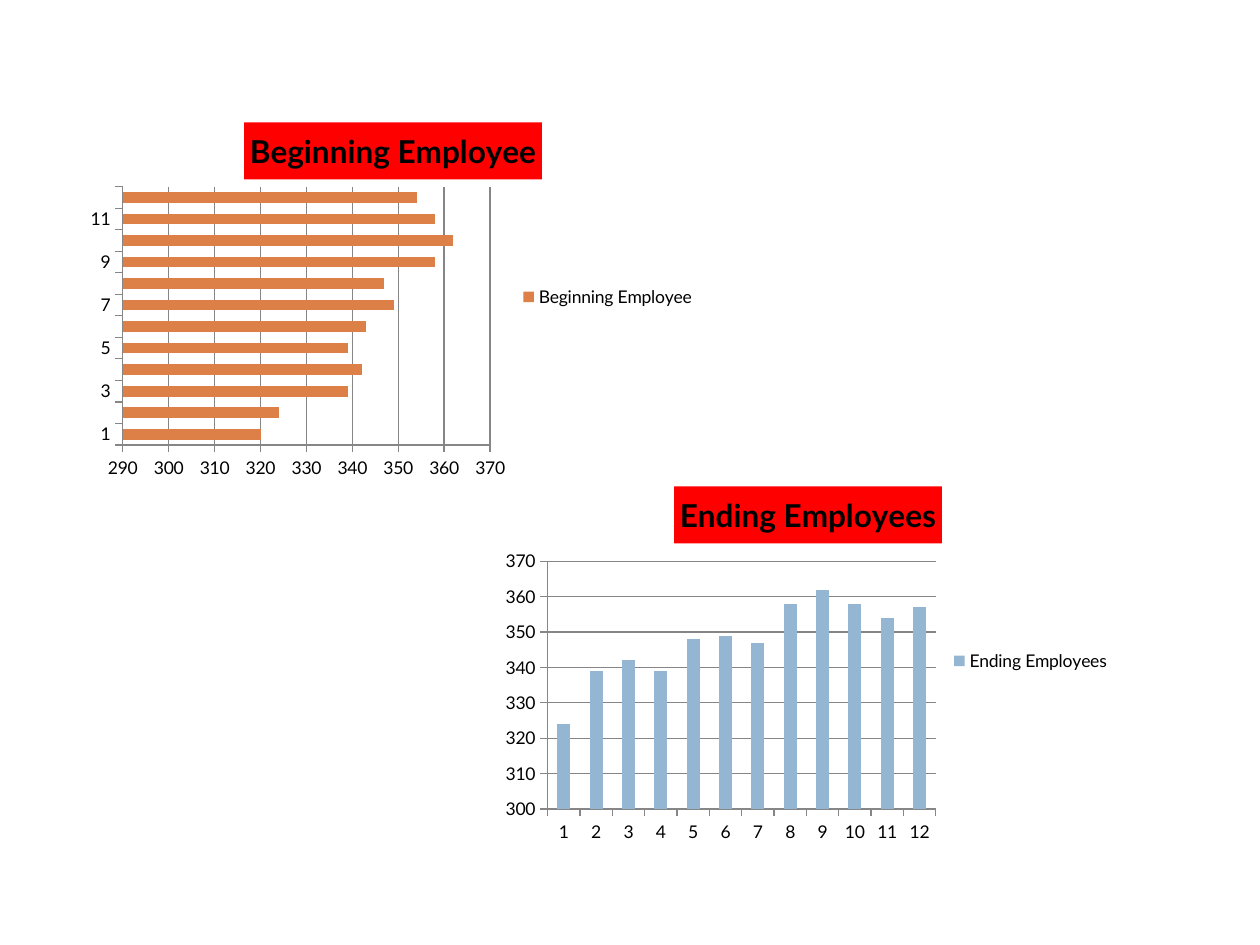
"""Build a slide with beginning and ending employee charts."""
from pptx import Presentation
from pptx.chart.data import CategoryChartData
from pptx.dml.color import RGBColor
from pptx.enum.chart import XL_CHART_TYPE, XL_LEGEND_POSITION, XL_TICK_MARK
from pptx.util import Pt

PX = 914400 / 126
FONT = "Lato"


def color(value):
    return RGBColor.from_string(value)


def set_title(chart, text, size, fill, ink, bold=True):
    title = chart.chart_title
    title.include_in_layout = False
    title.format.fill.solid()
    title.format.fill.fore_color.rgb = color(fill)
    paragraph = title.text_frame.paragraphs[0]
    run = paragraph.add_run()
    run.text = text
    run.font.name = FONT
    run.font.size = Pt(size)
    run.font.bold = bold
    run.font.color.rgb = color(ink)


presentation = Presentation()
presentation.slide_width = int(1260 * PX)
presentation.slide_height = int(945 * PX)
slide = presentation.slides.add_slide(presentation.slide_layouts[6])

employee_charts = [
    ("Beginning Employee", XL_CHART_TYPE.BAR_STACKED, 78, 108, "DD8047", 100, 100, 290,
     [320, 324, 339, 342, 339, 343, 349, 347, 358, 362, 358, 354]),
    ("Ending Employees", XL_CHART_TYPE.COLUMN_CLUSTERED, 493, 472, "94B6D2", 150, 0, 300,
     [324, 339, 342, 339, 348, 349, 347, 358, 362, 358, 354, 357]),
]

for name, kind, left, top, fill, gap, overlap, minimum, values in employee_charts:
    data = CategoryChartData()
    data.categories = [str(month) for month in range(1, 13)]
    data.add_series(name, values)
    shape = slide.shapes.add_chart(
        kind, int(left * PX), int(top * PX), int(630 * PX), int(378 * PX), data)
    chart = shape.chart
    chart.font.name = FONT
    chart.font.size = Pt(10)
    chart.font.color.rgb = color("000000")
    set_title(chart, name, size=18, fill="FF0000", ink="000000")

    chart.has_legend = True
    chart.legend.position = XL_LEGEND_POSITION.RIGHT
    chart.legend.include_in_layout = False

    plot = chart.plots[0]
    plot.vary_by_categories = False
    plot.gap_width = gap
    plot.overlap = overlap
    series = plot.series[0]
    series.format.fill.solid()
    series.format.fill.fore_color.rgb = color(fill)

    value_axis = chart.value_axis
    value_axis.minimum_scale = minimum
    value_axis.maximum_scale = 370
    value_axis.major_unit = 10
    value_axis.has_major_gridlines = True
    chart.category_axis.has_major_gridlines = False
    for axis in (chart.category_axis, value_axis):
        axis.major_tick_mark = XL_TICK_MARK.OUTSIDE
        axis.minor_tick_mark = XL_TICK_MARK.NONE
    for lines in (chart.category_axis, value_axis, value_axis.major_gridlines):
        lines.format.line.color.rgb = color("868686")
        lines.format.line.width = Pt(0.75)

presentation.save("out.pptx")
